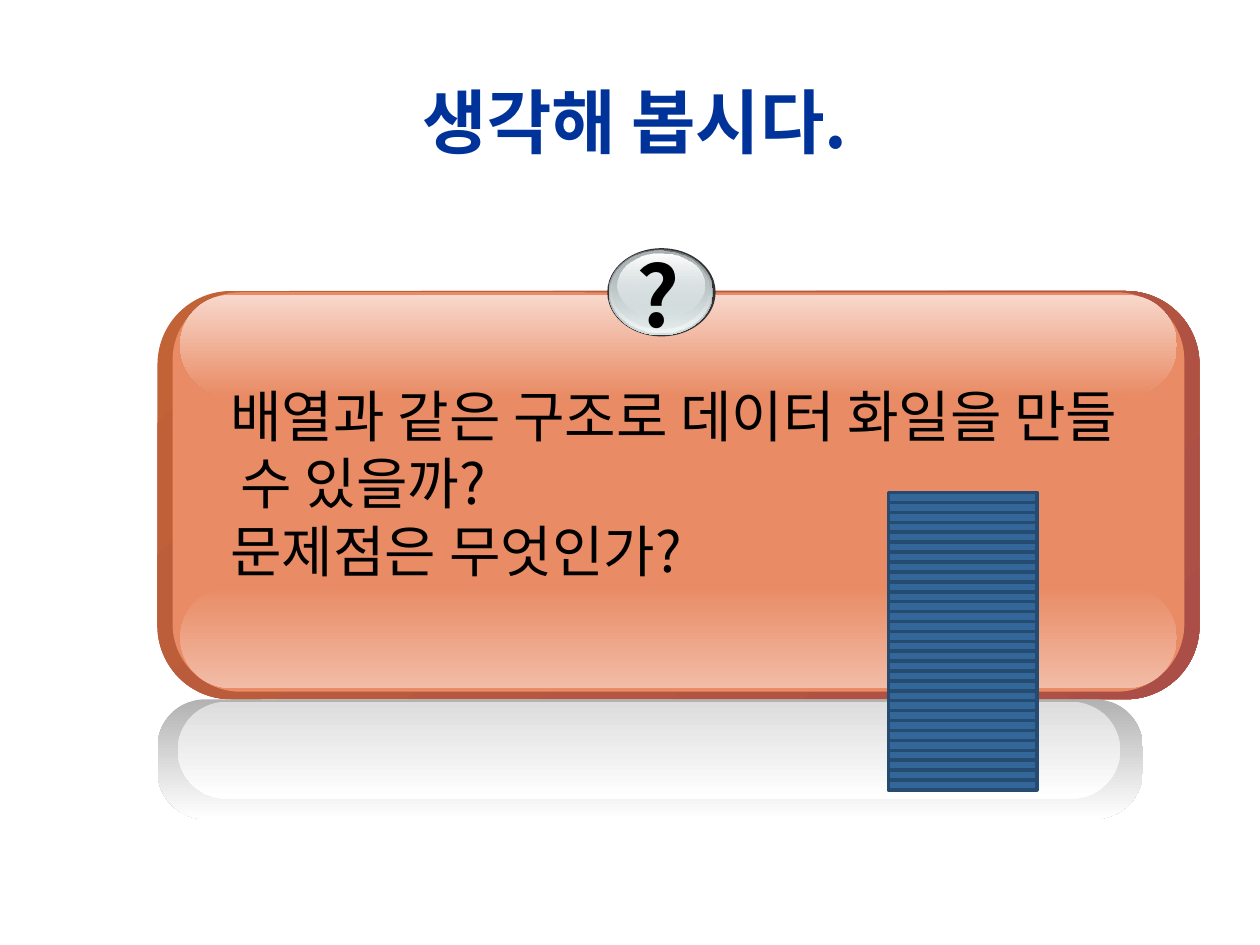
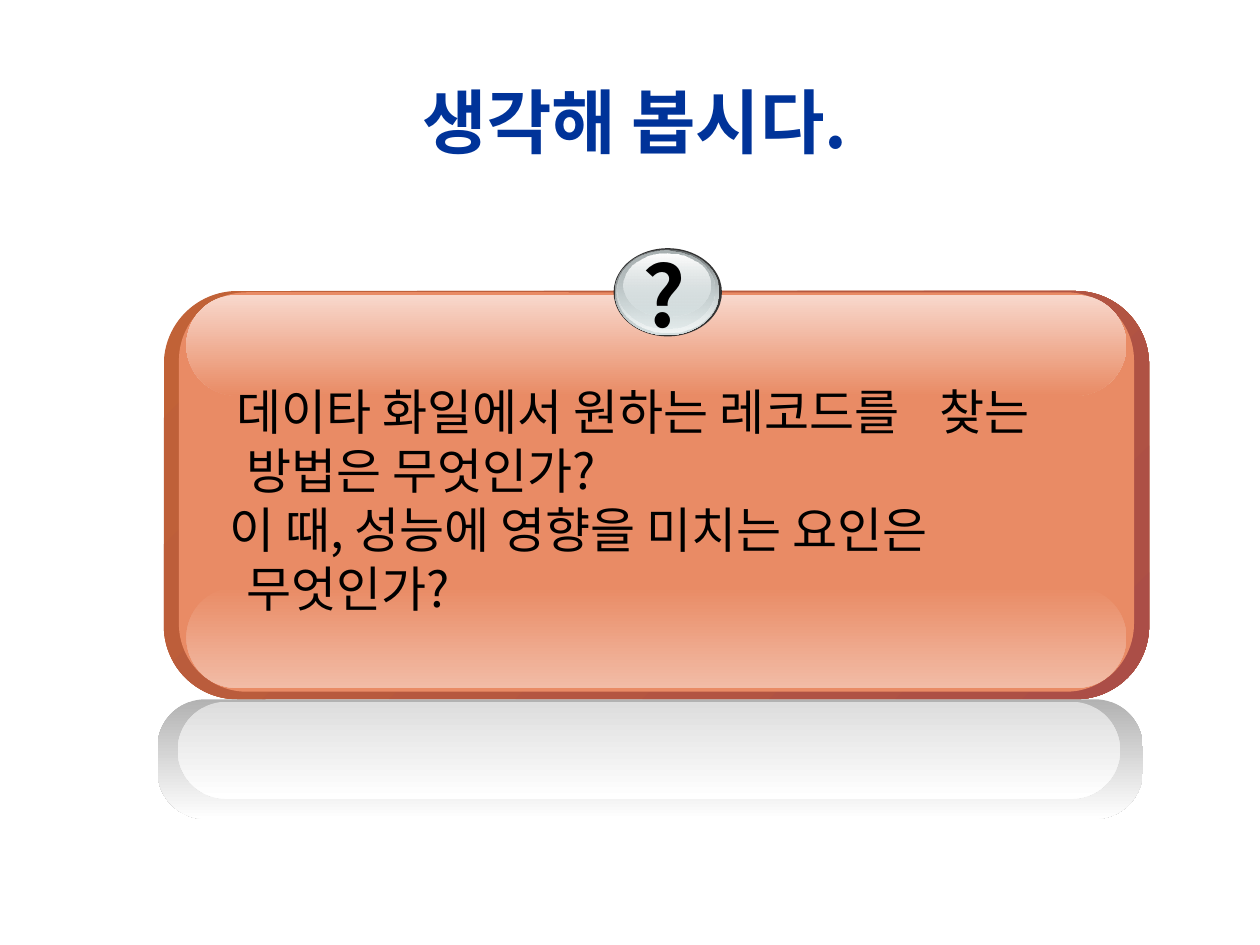
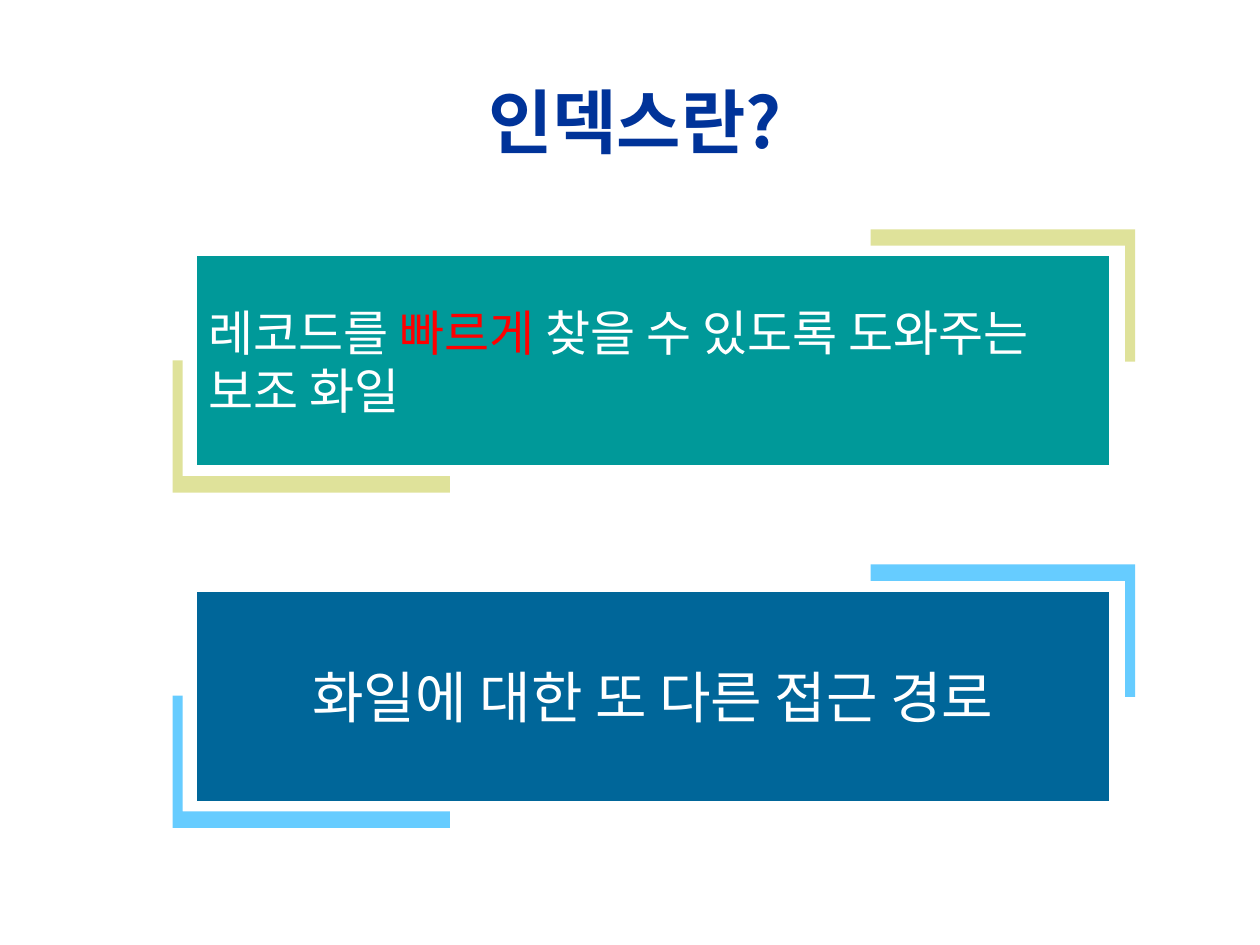
from dataclasses import dataclass
from typing import Optional

from lxml.etree import SubElement as Sub
from pptx import Presentation
from pptx.dml.color import RGBColor as Rgb
from pptx.enum.shapes import MSO_SHAPE as Kind
from pptx.enum.text import MSO_ANCHOR as Anchor, PP_ALIGN as Align
from pptx.oxml.ns import qn
from pptx.util import Inches, Pt

FONT = "Noto Sans CJK KR"
HUES = {
    "title": "003399", "text": "000000", "white": "FFFFFF", "alert": "FF0000",
    "rim": "C16237", "rust": "AB4E47", "card": "E98B65", "low": "F2BCA6", "high": "F8D8CC",
    "dark": "333333", "steel": "636869", "pale": "D6E1E2", "light": "F1F5F5", "ash": "AAB2B3",
    "gray": "B2B2B2", "mist": "DDDDDD", "bar": "336699", "edge": "264B71",
    "teal": "009999", "lime": "DFE29A", "navy": "006699", "sky": "66CCFF",
}


@dataclass
class Paint:
    start: str
    end: Optional[str] = None
    angle: int = 90
    first: int = 100
    last: int = 100


@dataclass
class Layer:
    kind: Kind
    left: float
    top: float
    width: float
    height: float
    paint: Paint
    bend: Optional[float] = None


@dataclass
class Piece:
    text: str
    hue: str = "white"


@dataclass
class Line:
    text: str
    start: float
    tab: Optional[float] = None


@dataclass
class Card:
    left: float
    width: float
    size: int
    height: float
    lines: list[Line]
    bars: int = 0


@dataclass
class Panel:
    top: float
    fill: str
    frame: str
    size: int
    align: Align
    words: list[Piece]


ROUND, OVAL = Kind.ROUNDED_RECTANGLE, Kind.OVAL
FACE = [
    Layer(ROUND, 0, 2.31, 0, 3.24, Paint("rim", "rust", 45), 0.18),
    Layer(ROUND, 0.12, 2.32, -0.24, 3.17, Paint("card"), 0.17),
    Layer(ROUND, 0.18, 4.66, -0.36, 0.8, Paint("card", "low"), 0.5),
    Layer(ROUND, 0.18, 2.34, -0.36, 0.8, Paint("high", "card"), 0.5),
]
BALL = [
    Layer(OVAL, 3.57, 1.97, 0.86, 0.7, Paint("dark")),
    Layer(OVAL, 3.58, 1.98, 0.83, 0.68, Paint("steel", "pale")),
    Layer(OVAL, 3.59, 1.98, 0.81, 0.66, Paint("pale", "light", first=0)),
    Layer(OVAL, 3.6, 1.99, 0.77, 0.62, Paint("ash", "pale", last=48)),
    Layer(OVAL, 3.65, 2.01, 0.69, 0.5, Paint("white", "pale", last=38)),
]
GLASS = [
    Layer(ROUND, 1.25, 5.55, 7.82, 0.95, Paint("gray", "white"), 0.4),
    Layer(ROUND, 1.41, 5.57, 7.48, 0.77, Paint("mist", "white"), 0.5),
]
CARDS = [
    Card(1.25, 8.27, 32, 1.72, [
        Line("배열과 같은 구조로 데이터 화일을 만들 수 있을까?", 0.48),
        Line("문제점은 무엇인가?", 0.48),
    ], 30),
    Card(1.3, 7.82, 28, 2.59, [
        Line("데이타 화일에서 원하는 레코드를\t찾는 방법은 무엇인가?", 0.48, 6.24),
        Line("이 때, 성능에 영향을 미치는 요인은 무엇인가?", 0.42),
    ]),
]
PANELS = [
    Panel(4.69, "navy", "sky", 32, Align.CENTER, [Piece("화일에 대한 또 다른 접근 경로")]),
    Panel(2.03, "teal", "lime", 28, Align.LEFT, [
        Piece("레코드를 "), Piece("빠르게", "alert"), Piece(" 찾을 수 있도록 도와주는 보조 화일"),
    ]),
]


def tint(name: str) -> Rgb:
    return Rgb.from_string(HUES[name])


def style(run, size: int, hue: str, bold: bool = False) -> None:
    font = run.font
    font.size, font.bold, font.name = Pt(size), bold, FONT
    font.color.rgb = tint(hue)
    Sub(run._r.get_or_add_rPr(), qn("a:ea")).set("typeface", FONT)


def coat(shape, paint: Paint) -> None:
    shape.shadow.inherit = False
    shape.line.fill.background()
    fill = shape.fill
    if paint.end is None:
        fill.solid()
        fill.fore_color.rgb = tint(paint.start)
        return
    fill.gradient()
    fill.gradient_angle = 360 - paint.angle
    for stop, name in zip(fill.gradient_stops, (paint.start, paint.end)):
        stop.color.rgb = tint(name)
    for node, alpha in zip(shape._element.iter(qn("a:srgbClr")), (paint.first, paint.last)):
        if alpha < 100:
            Sub(node, qn("a:alpha")).set("val", str(alpha * 1000))


def block(slide, layer: Layer, left: float = 0, width: float = 0):
    shape = slide.shapes.add_shape(
        layer.kind, Inches(left + layer.left), Inches(layer.top),
        Inches(width + layer.width), Inches(layer.height))
    if layer.bend is not None:
        shape.adjustments[0] = layer.bend
    coat(shape, layer.paint)
    return shape


def label(slide, left: float, top: float, width: float, height: float, wrap: bool = True):
    frame = slide.shapes.add_textbox(
        Inches(left), Inches(top), Inches(width), Inches(height)).text_frame
    frame.word_wrap = wrap
    return frame


def title(slide, text: str) -> None:
    frame = label(slide, 0.75, 0.67, 8.58, 0.58)
    frame.vertical_anchor = Anchor.MIDDLE
    frame.text = text
    para = frame.paragraphs[0]
    para.alignment = Align.CENTER
    style(para.runs[0], 40, "title", True)


def write(frame, lines: list[Line], size: int) -> None:
    hang = 0.56
    for rank, line in enumerate(lines):
        para = frame.add_paragraph() if rank else frame.paragraphs[0]
        para.text = line.text
        props = para._p.get_or_add_pPr()
        props.set("marL", str(Inches(hang)))
        props.set("indent", str(Inches(line.start - hang)))
        if line.tab is not None:
            stop = Sub(Sub(props, qn("a:tabLst")), qn("a:tab"))
            stop.set("pos", str(Inches(line.tab)))
            stop.set("algn", "l")
        for run in para.runs:
            style(run, size, "text")


def stack(slide, count: int) -> None:
    step = 2.36 / max(count, 1)
    for rank in range(count):
        bar = block(slide, Layer(Kind.RECTANGLE, 7.05, 3.91 + rank * step, 1.18, step, Paint("bar")))
        bar.line.color.rgb = tint("edge")
        bar.line.width = Pt(2)


def think(slide, card: Card) -> None:
    for layer in FACE:
        block(slide, layer, card.left, card.width)
    write(label(slide, card.left, 2.98, card.width - 0.36, card.height), card.lines, card.size)
    title(slide, "생각해 봅시다.")
    for layer in BALL:
        block(slide, layer, card.left)
    for layer in GLASS:
        block(slide, layer)
    mark = label(slide, card.left + 3.7, 1.88, 0.58, 0.91, False)
    mark.text = "?"
    style(mark.paragraphs[0].runs[0], 48, "text", True)
    stack(slide, card.bars)


def corner(slide, left: float, top: float, reach: float, rise: float, hue: str) -> None:
    wide = 0.08 if reach > 0 else -0.08
    tall = 0.13 if rise > 0 else -0.13
    spots = [(0, 0), (reach, 0), (reach, tall), (wide, tall), (wide, rise), (0, rise)]
    dots = [(Inches(left + x), Inches(top + y)) for x, y in spots]
    form = slide.shapes.build_freeform(*dots[0])
    form.add_line_segments(dots[1:], close=True)
    coat(form.convert_to_shape(), Paint(hue))


def define(slide, panel: Panel) -> None:
    corner(slide, 1.37, panel.top + 1.88, 2.2, -1.05, panel.frame)
    corner(slide, 9.01, panel.top - 0.21, -2.1, 1.05, panel.frame)
    box = block(slide, Layer(Kind.RECTANGLE, 1.56, panel.top, 7.25, 1.67, Paint(panel.fill)))
    box.line.color.rgb = tint("white")
    box.line.width = Pt(0.75)
    frame = box.text_frame
    frame.word_wrap = True
    frame.vertical_anchor = Anchor.MIDDLE
    para = frame.paragraphs[0]
    para.alignment = panel.align
    for piece in panel.words:
        run = para.add_run()
        run.text = piece.text
        style(run, panel.size, piece.hue)


def main() -> None:
    deck = Presentation()
    deck.slide_width, deck.slide_height = Inches(10), Inches(7.5)
    blank = deck.slide_layouts[6]
    for card in CARDS:
        think(deck.slides.add_slide(blank), card)
    last = deck.slides.add_slide(blank)
    title(last, "인덱스란?")
    for panel in PANELS:
        define(last, panel)
    deck.save("out.pptx")


if __name__ == "__main__":
    main()
